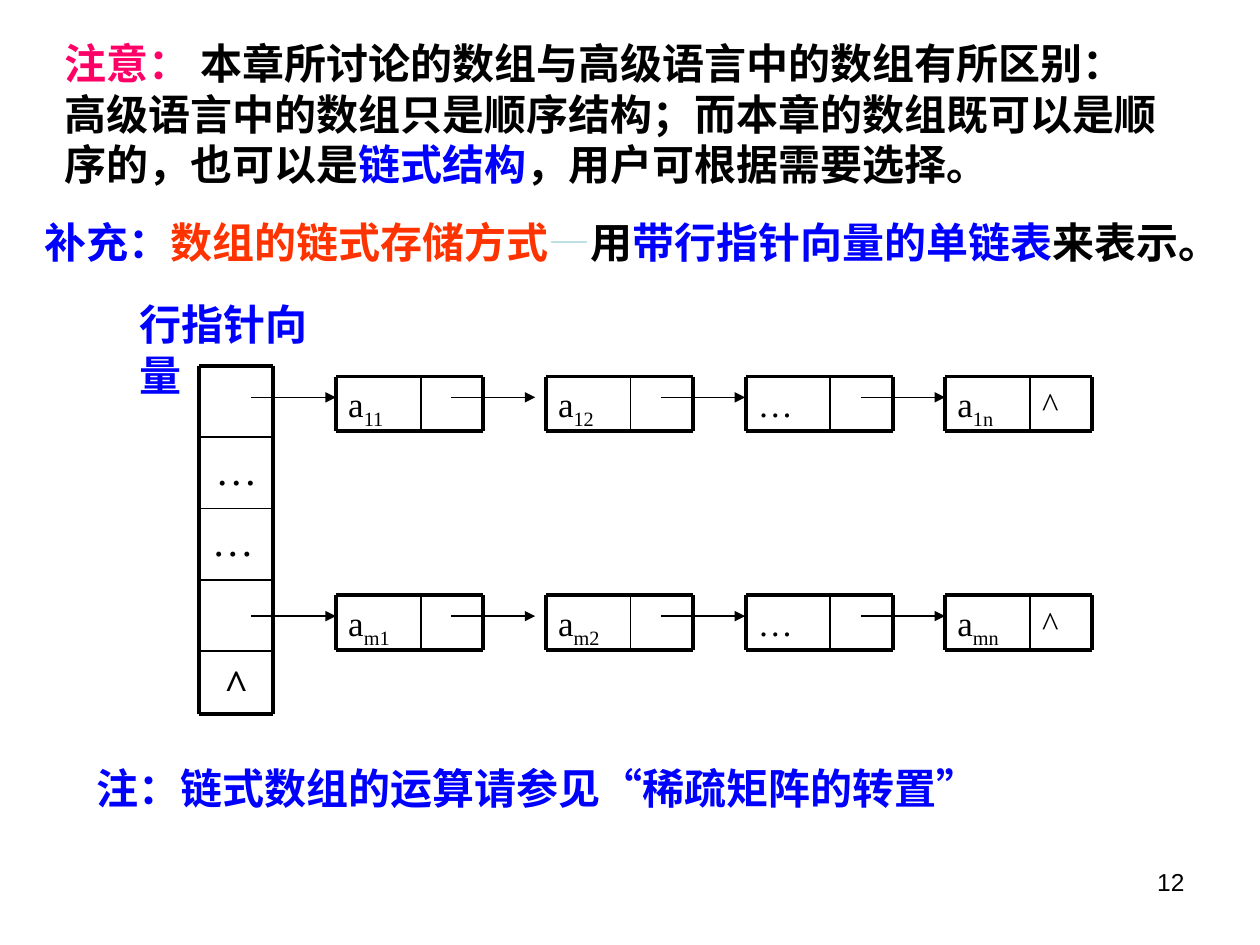
from pptx import Presentation
from pptx.dml.color import RGBColor
from pptx.enum.shapes import MSO_CONNECTOR
from pptx.enum.text import MSO_AUTO_SIZE, PP_ALIGN
from pptx.oxml.ns import qn
from pptx.util import Cm, Pt
from lxml.etree import SubElement

BLACK, BLUE = "000000", "0000FF"
ROMAN = "Times New Roman"


def paint(hue):
    return RGBColor.from_string(hue)


def apply(item, form):
    for name, value in form.items():
        setattr(item, name, value)


def write(slide, box, lines, size=24, bold=False, face=ROMAN, wrap=True,
          grow=False, **form):
    frame = slide.shapes.add_textbox(*map(Cm, box)).text_frame
    fit = MSO_AUTO_SIZE.SHAPE_TO_FIT_TEXT if grow else MSO_AUTO_SIZE.NONE
    apply(frame, {"word_wrap": wrap, "auto_size": fit})
    for i, line in enumerate(lines):
        para = frame.paragraphs[0] if i == 0 else frame.add_paragraph()
        apply(para, form)
        for text, hue, *base in line:
            run = para.add_run()
            run.text = text
            apply(run.font, {"size": Pt(size), "bold": bold, "name": face})
            run.font.color.rgb = paint(hue)
            if base:
                run.font._element.set("baseline", str(base[0]))


def rule(slide, x, y, across, down, width, arrow=False):
    ends = map(Cm, (x, y, x + across, y + down))
    line = slide.shapes.add_connector(MSO_CONNECTOR.STRAIGHT, *ends)
    line.line.width = Pt(width)
    line.line.color.rgb = paint(BLACK)
    if arrow:
        SubElement(line.line._get_or_add_ln(), qn("a:tailEnd"), type="triangle")
    SubElement(line._element.spPr, qn("a:effectLst"))


def vector(slide, x, y, wide, high, cells):
    step = 1.44
    count = len(cells)
    for i, (text, bold, align) in enumerate(cells):
        top = y + i * step
        tall = step if i < count - 1 else high - i * step
        if text:
            write(slide, (x, top, wide, tall), [[(text, BLACK)]],
                  bold=bold, alignment=align)
        rule(slide, x, top, wide, 0, 1 if i else 2.25)
    rule(slide, x, y + high, wide, 0, 2.25)
    for side in (x, x + wide):
        rule(slide, side, y, 0, high, 2.25)


def node(slide, x, y, wide, high, runs, last):
    split = 1.71
    write(slide, (x, y, split, high), [runs], size=20)
    for top in (y, y + high):
        rule(slide, x, top, wide, 0, 2.25)
    for gap, width in ((0, 2.25), (split, 1), (wide, 2.25)):
        rule(slide, x + gap, y, 0, high, width)
    if last:
        write(slide, (x + split, y, wide - split, high), [[("^", BLACK)]], size=20)
    else:
        rule(slide, x + 2.33, y + 0.42, 1.69, 0, 0.75, True)


def chain(slide, x, y, wide, high, row):
    rule(slide, x - 1.7, y + 0.42, 1.7, 0, 0.75, True)
    shifts = (0, 4.23, 8.26, 12.28)
    for shift, mark in zip(shifts, ("1", "2", "", "n")):
        runs = [("a", BLACK), (row + mark, BLACK, -25000)] if mark else [("…", BLACK)]
        node(slide, x + shift, y, wide, high, runs, shift == shifts[-1])


def notes(slide):
    bold = {"bold": True, "grow": True}
    write(slide, (1.06, 0.64, 23.07, 3.3), [
        [("注意：", "FF0066"),
         (" 本章所讨论的数组与高级语言中的数组有所区别：", BLACK)],
        [("高级语言中的数组只是顺序结构；而本章的数组既可以是顺序的，也可以是", BLACK),
         ("链式结构", BLUE), ("，用户可根据需要选择。", BLACK)],
    ], face="Arial", **bold)
    write(slide, (0.64, 4.23, 24.13, 1.27), [[
        ("补充：", BLUE), ("数组的链式存储方式", "FF3300"), ("—", "BBE0E3"),
        ("用", BLACK), ("带行指针向量的单链表", BLUE), ("来表示。", BLACK),
    ]], **bold)
    write(slide, (2.57, 5.9, 4.72, 1.27), [[("行指针向量", BLUE)]],
          wrap=False, space_before=Pt(6), **bold)
    write(slide, (1.69, 15.24, 18.42, 1.27),
          [[("注：链式数组的运算请参见“稀疏矩阵的转置”", BLUE)]], **bold)
    write(slide, (18.2, 17.35, 5.93, 1.32), [[("12", BLACK)]], size=14,
          face="Arial", alignment=PP_ALIGN.RIGHT)


def main():
    deck = Presentation()
    apply(deck, {"slide_width": Cm(25.4), "slide_height": Cm(19.05)})
    slide = deck.slides.add_slide(deck.slide_layouts[6])
    mid, left = PP_ALIGN.CENTER, PP_ALIGN.LEFT
    vector(slide, 4.02, 7.37, 1.49, 7.03, [
        ("", False, left), ("…", False, mid), ("…", False, left),
        ("", False, left), ("^", True, mid)])
    for y, row in ((7.59, "1"), (12, "m")):
        chain(slide, 6.77, y, 2.97, 1.1, row)
    notes(slide)
    deck.save("out.pptx")


if __name__ == "__main__":
    main()
